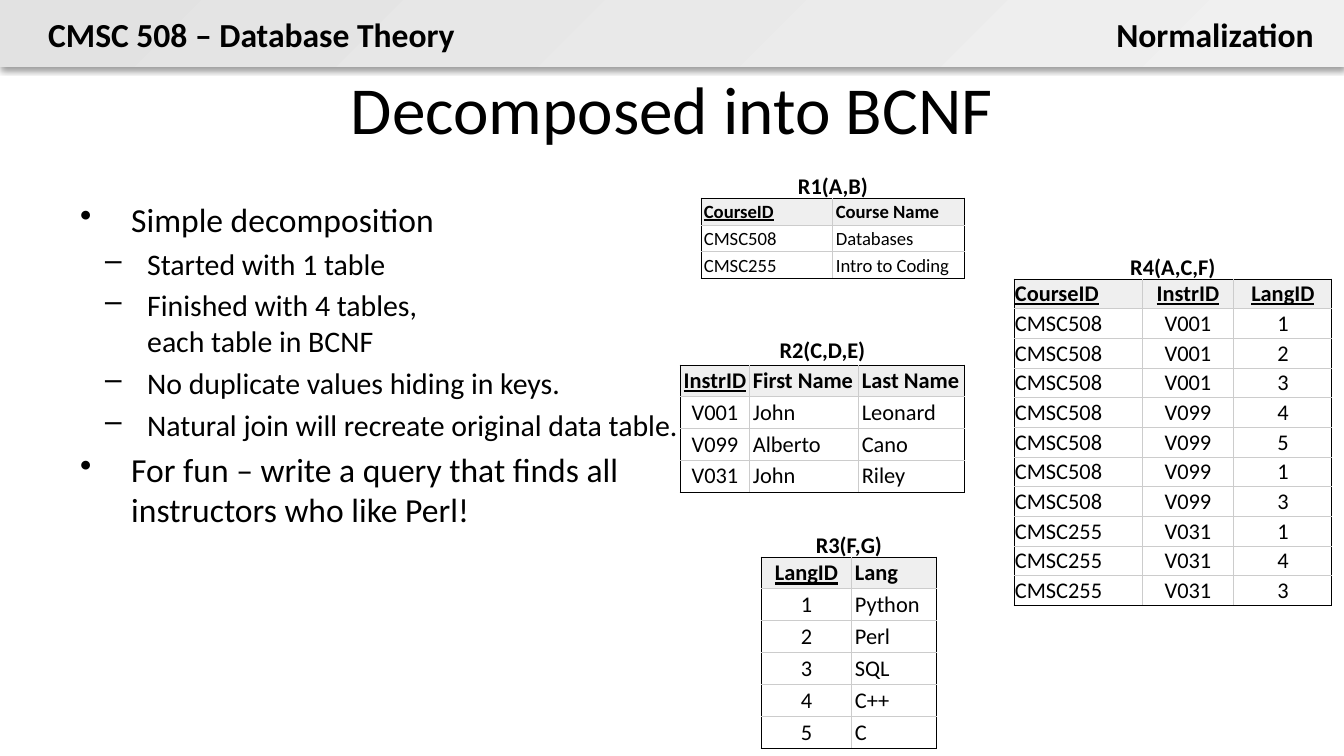
from lxml.etree import SubElement
from pptx import Presentation
from pptx.dml.color import RGBColor
from pptx.enum.shapes import MSO_SHAPE
from pptx.enum.text import MSO_ANCHOR, PP_ALIGN
from pptx.oxml.ns import qn
from pptx.util import Pt

WIDE, HIGH = 1344, 756
SCALE = 9144000 / WIDE
FONT, INK, RULE, HEAD = "Calibri", "000000", "CCCCCC", "EFEFEF"
ALIGN = {"l": PP_ALIGN.LEFT, "c": PP_ALIGN.CENTER, "r": PP_ALIGN.RIGHT}


def px(num):
    return round(num * SCALE)


def tint(fmt, code):
    fmt.rgb = RGBColor.from_string(code)


def style(para, size, bold=False, under=False, align="l"):
    para.alignment = ALIGN[align]
    for run in para.runs:
        font = run.font
        font.name, font.size, font.bold, font.underline = FONT, Pt(size), bold, under
        tint(font.color, INK)


def label(slide, box, text, size, bold=True, align="c", wrap=True):
    """Add a text box with one line of text and return its frame."""
    frame = slide.shapes.add_textbox(*map(px, box)).text_frame
    frame.word_wrap = wrap
    frame.text = text
    style(frame.paragraphs[0], size, bold, align=align)
    return frame


def banner(slide, box, left, right):
    x, y, w, h = box
    bar = slide.shapes.add_shape(MSO_SHAPE.RECTANGLE, *map(px, box))
    bar.line.fill.background()
    bar.shadow.inherit = False
    bar.fill.gradient()
    bar.fill.gradient_angle = 315
    for stop, code in zip(bar.fill.gradient_stops, ("E2E2E2", "F0F0F0")):
        tint(stop.color, code)
    effect = bar._element.spPr.find(qn("a:effectLst"))
    shade = SubElement(effect, qn("a:outerShdw"), blurRad=str(Pt(3.1)),
                       dist=str(Pt(1.6)), dir="5400000", rotWithShape="0")
    color = SubElement(shade, qn("a:srgbClr"), val=INK)
    SubElement(color, qn("a:alpha"), val="38000")
    label(slide, (x + 35, y + 7, 438, 54), left, 18, align="l", wrap=False)
    label(slide, (x + w - 243, y + 7, 226, 54), right, 18, align="r", wrap=False)


def points(slide, box, items):
    """Add a bullet list from pairs of level and text."""
    looks = [(18, "•", 51, -51), (16, "–", 67, -42)]
    frame = slide.shapes.add_textbox(*map(px, box)).text_frame
    frame.word_wrap = True
    frame.margin_top = 0
    for num, (level, text) in enumerate(items):
        size, mark, left, hang = looks[level]
        para = frame.add_paragraph() if num else frame.paragraphs[0]
        para.text, para.level = text, level
        style(para, size)
        para.space_before = Pt(size * 0.2 if num else 0)
        props = para._p.get_or_add_pPr()
        props.set("marL", str(px(left)))
        props.set("indent", str(px(hang)))
        SubElement(props, qn("a:buChar"), char=mark)


def edges(cell, outer):
    """Draw the four cell borders, dark on the sides named in outer."""
    props = cell._tc.get_or_add_tcPr()
    for side in "LRTB":
        line = SubElement(props, qn("a:ln" + side), w=str(Pt(0.6)))
        fill = SubElement(line, qn("a:solidFill"))
        SubElement(fill, qn("a:srgbClr"), val=INK if side in outer else RULE)


def relation(slide, box, name, cols, aligns, rows, keys=1, size=12, pad=(3, 2), gap=32):
    """Add a captioned table whose first columns are underlined keys."""
    x, y, w, h = box
    count = len(rows)
    frame = slide.shapes.add_table(count, len(cols), *map(px, box))
    grid = frame.table
    grid.first_row = grid.horz_banding = False
    for col, width in zip(grid.columns, cols):
        col.width = px(width)
    for i, row in enumerate(rows):
        grid.rows[i].height = px(h / count)
        for j, text in enumerate(row):
            cell = grid.cell(i, j)
            cell.text = text
            cell.vertical_anchor = MSO_ANCHOR.BOTTOM
            cell.margin_left = cell.margin_right = px(pad[0])
            cell.margin_top = cell.margin_bottom = px(pad[1])
            style(cell.text_frame.paragraphs[0], size, i == 0,
                  i == 0 and j < keys, aligns[j])
            ends = {"L": j == 0, "R": j == len(cols) - 1,
                    "T": i == 0, "B": i == count - 1}
            edges(cell, [side for side, end in ends.items() if end])
            if i == 0:
                cell.fill.solid()
                tint(cell.fill.fore_color, HEAD)
            else:
                cell.fill.background()
    label(slide, (x, y - gap, w, 40), name, size=12)


def main():
    deck = Presentation()
    deck.slide_width, deck.slide_height = px(WIDE), px(HIGH)
    slide = deck.slides.add_slide(deck.slide_layouts[6])
    banner(slide, (0, 0, WIDE, 67), "CMSC 508 – Database Theory", "Normalization")
    title = label(slide, (67, 73, 1210, 70), "Decomposed into BCNF", 36, bold=False)
    title.vertical_anchor = MSO_ANCHOR.MIDDLE
    points(slide, (67, 199, 626, 541), [
        (0, "Simple decomposition"),
        (1, "Started with 1 table"),
        (1, "Finished with 4 tables,\veach table in BCNF"),
        (1, "No duplicate values hiding in keys."),
        (1, "Natural join will recreate original data table."),
        (0, "For fun – write a query that finds all instructors who like Perl!"),
    ])
    relation(slide, (701, 198, 264, 81), "R1(A,B)", (132, 132), "ll", [
        ("CourseID", "Course Name"),
        ("CMSC508", "Databases"),
        ("CMSC255", "Intro to Coding"),
    ], size=10)
    relation(slide, (680, 365, 285, 127), "R2(C,D,E)", (70, 109, 106), "cll", [
        ("InstrID", "First Name", "Last Name"),
        ("V001", "John", "Leonard"),
        ("V099", "Alberto", "Cano"),
        ("V031", "John", "Riley"),
    ], gap=35)
    langs = ["Python", "Perl", "SQL", "C++", "C"]
    relation(slide, (761, 557, 176, 192), "R3(F,G)", (91, 85), "cl",
             [("LangID", "Lang")] + [(str(n), lang) for n, lang in enumerate(langs, 1)])
    taught = [("CMSC508", "V001", "123"), ("CMSC508", "V099", "4513"),
              ("CMSC255", "V031", "143")]
    relation(slide, (1014, 279, 318, 327), "R4(A,C,F)", (128, 92, 98), "lcc",
             [("CourseID", "InstrID", "LangID")]
             + [(course, who, lang) for course, who, ids in taught for lang in ids],
             keys=3, pad=(1, 1))
    deck.save("out.pptx")


if __name__ == "__main__":
    main()
